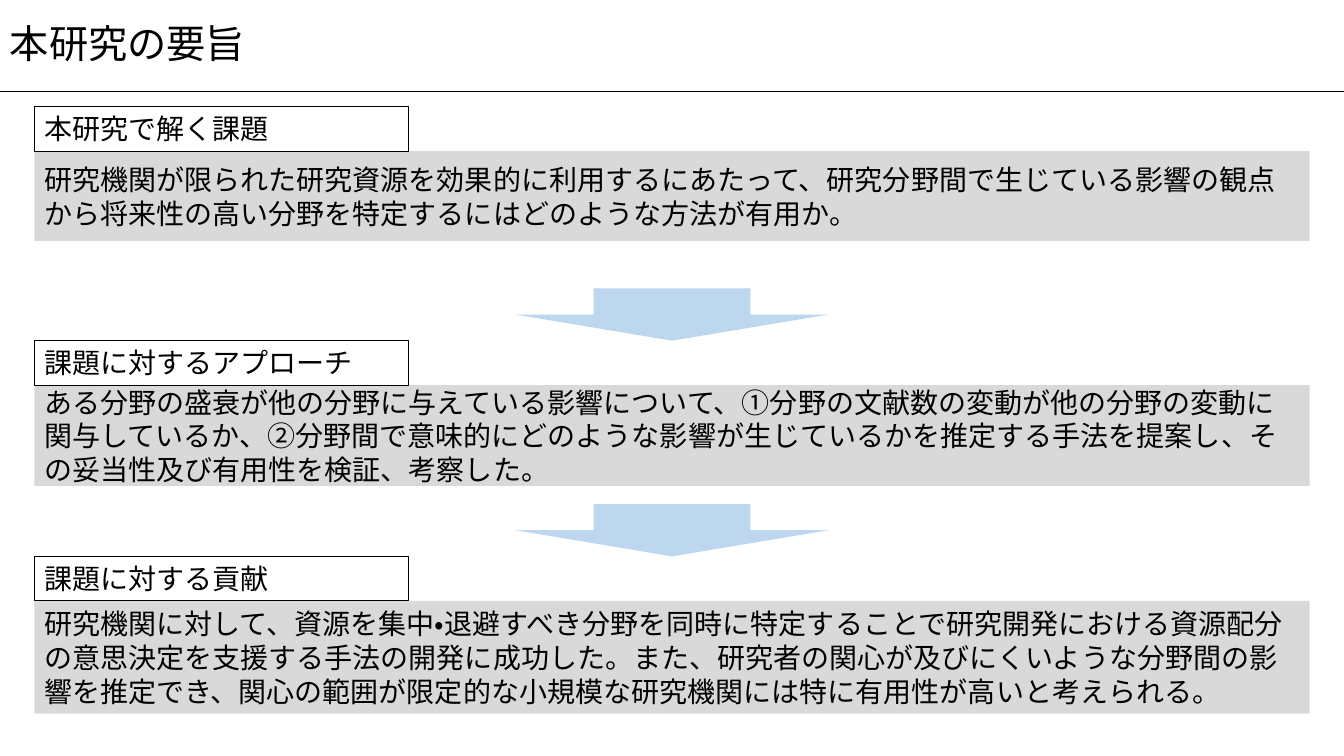
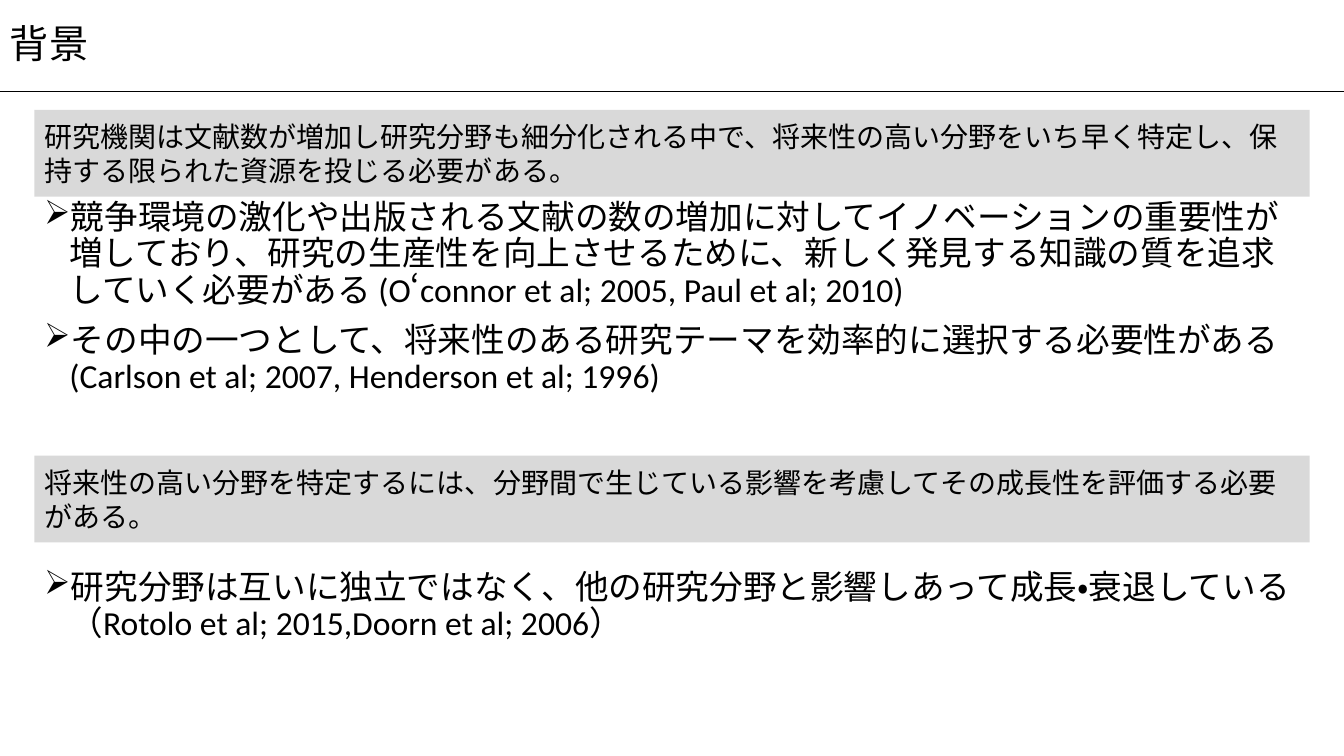
"""Build two research slides: a three-step summary and the background."""
from dataclasses import dataclass

from lxml.etree import SubElement
from pptx import Presentation
from pptx.dml.color import RGBColor as Color
from pptx.enum.lang import MSO_LANGUAGE_ID as Language
from pptx.enum.shapes import MSO_CONNECTOR as Connector, MSO_SHAPE as Shape
from pptx.enum.text import MSO_ANCHOR as Anchor, PP_ALIGN as Align
from pptx.oxml.ns import qn
from pptx.util import Inches, Pt


@dataclass(frozen=True)
class Theme:
    font: str = "Calibri"
    ink: Color = Color.from_string("000000")
    panel: Color = Color.from_string("D9D9D9")
    arrow: Color = Color.from_string("BDD7EE")
    title_size: Pt = Pt(28)
    bullet_size: Pt = Pt(24)
    panel_size: Pt = Pt(20)
    rule_width: Pt = Pt(1)
    label_width: Pt = Pt(0.75)
    bullet_indent: Inches = Inches(0.25)


theme = Theme()
deck = Presentation()
deck.slide_width, deck.slide_height = Inches(13.33), Inches(7.5)
column, row = deck.slide_width / 100, deck.slide_height / 100

LEFT, WIDTH = 2.55, 94.9
TITLE_HEIGHT = 12.13
LABEL_WIDTH, LABEL_HEIGHT = 27.83, 5.87
ARROW_WIDTH, ARROW_HEIGHT = 23.33, 6.93
HEADLINE_HEIGHT = 11.47

TIGHT = {"line_spacing": 0.9}
BULLET = {"line_spacing": 0.9, "space_before": Pt(10)}


def add_box(page, area, fill=None, outline=None, kind=Shape.RECTANGLE):
    """Add a preset shape on the percent grid: left, top, width, height."""
    left, top, width, height = area
    box = page.shapes.add_shape(kind, round(left * column), round(top * row),
                                round(width * column), round(height * row))
    box.shadow.inherit = False
    if fill is None:
        box.fill.background()
    else:
        box.fill.solid()
        box.fill.fore_color.rgb = fill
    if outline is None:
        box.line.fill.background()
    else:
        box.line.color.rgb = theme.ink
        box.line.width = outline
    return box


def write(box, texts, size, anchor=Anchor.MIDDLE, layout=None, bullet=None):
    """Write one left-aligned paragraph per text, bulleted on request."""
    frame = box.text_frame
    for index, text in enumerate(texts):
        para = frame.paragraphs[0] if index == 0 else frame.add_paragraph()
        span = para.add_run()
        span.text = text
        span.font.color.rgb = theme.ink
        formats = (
            (frame, {"word_wrap": True, "vertical_anchor": anchor}),
            (para, {"alignment": Align.LEFT, **(layout or {})}),
            (span.font, {"name": theme.font, "size": size,
                         "language_id": Language.JAPANESE}),
        )
        for target, values in formats:
            for name, value in values.items():
                setattr(target, name, value)
        if bullet:
            properties = para._p.get_or_add_pPr()
            properties.set("marL", str(theme.bullet_indent))
            properties.set("indent", str(-theme.bullet_indent))
            SubElement(properties, qn("a:buChar")).set("char", bullet)


pages = []
for title in ("本研究の要旨", "背景"):
    page = deck.slides.add_slide(deck.slide_layouts[6])
    rule_top = round(TITLE_HEIGHT * row)
    rule = page.shapes.add_connector(Connector.STRAIGHT, 0, rule_top,
                                     deck.slide_width, rule_top)
    rule.line.color.rgb = theme.ink
    rule.line.width = theme.rule_width
    SubElement(rule._element.spPr, qn("a:effectLst"))
    write(add_box(page, (0, 0, 100, TITLE_HEIGHT)), [title],
          theme.title_size, layout=TIGHT)
    pages.append(page)
summary, background = pages

steps = (
    (14.13, 11.87, "本研究で解く課題",
     "研究機関が限られた研究資源を効果的に利用するにあたって、研究分野間で生じている影響の観点"
     "から将来性の高い分野を特定するにはどのような方法が有用か。"),
    (45.07, 13.33, "課題に対するアプローチ",
     "ある分野の盛衰が他の分野に与えている影響について、①分野の文献数の変動が他の分野の変動に"
     "関与しているか、②分野間で意味的にどのような影響が生じているかを推定する手法を提案し、"
     "その妥当性及び有用性を検証、考察した。"),
    (73.6, 14.93, "課題に対する貢献",
     "研究機関に対して、資源を集中・退避すべき分野を同時に特定することで研究開発における資源配分"
     "の意思決定を支援する手法の開発に成功した。また、研究者の関心が及びにくいような分野間の"
     "影響を推定でき、関心の範囲が限定的な小規模な研究機関には特に有用性が高いと考えられる。"),
)
for index, (top, height, label, message) in enumerate(steps):
    panel = add_box(summary, (LEFT, top + LABEL_HEIGHT, WIDTH, height), theme.panel)
    write(panel, [message], theme.panel_size)
    tag = add_box(summary, (LEFT, top, LABEL_WIDTH, LABEL_HEIGHT),
                  outline=theme.label_width)
    write(tag, [label], theme.panel_size, Anchor.TOP)
    if index:
        add_box(summary, ((100 - ARROW_WIDTH) / 2, top - ARROW_HEIGHT,
                          ARROW_WIDTH, ARROW_HEIGHT),
                theme.arrow, kind=Shape.DOWN_ARROW)

sections = (
    (14.53,
     "研究機関は文献数が増加し研究分野も細分化される中で、将来性の高い分野をいち早く特定し、"
     "保持する限られた資源を投じる必要がある。",
     25.87, 31.2,
     ("競争環境の激化や出版される文献の数の増加に対してイノベーションの重要性が増しており、"
      "研究の生産性を向上させるために、新しく発見する知識の質を追求していく必要がある "
      "(O‘connor et al; 2005, Paul et al; 2010)",
      "その中の一つとして、将来性のある研究テーマを効率的に選択する必要性がある"
      "(Carlson et al; 2007, Henderson et al; 1996)")),
    (60.27,
     "将来性の高い分野を特定するには、分野間で生じている影響を考慮してその成長性を評価する"
     "必要がある。",
     74.8, 12.93,
     ("研究分野は互いに独立ではなく、他の研究分野と影響しあって成長・衰退している"
      "（Rotolo et al; 2015,Doorn et al; 2006）",)),
)
for headline_top, headline, list_top, list_height, points in sections:
    panel = add_box(background, (LEFT, headline_top, WIDTH, HEADLINE_HEIGHT), theme.panel)
    write(panel, [headline], theme.panel_size)
    body = add_box(background, (LEFT, list_top, WIDTH, list_height))
    write(body, points, theme.bullet_size, Anchor.TOP, BULLET, "➢")

deck.save("out.pptx")
